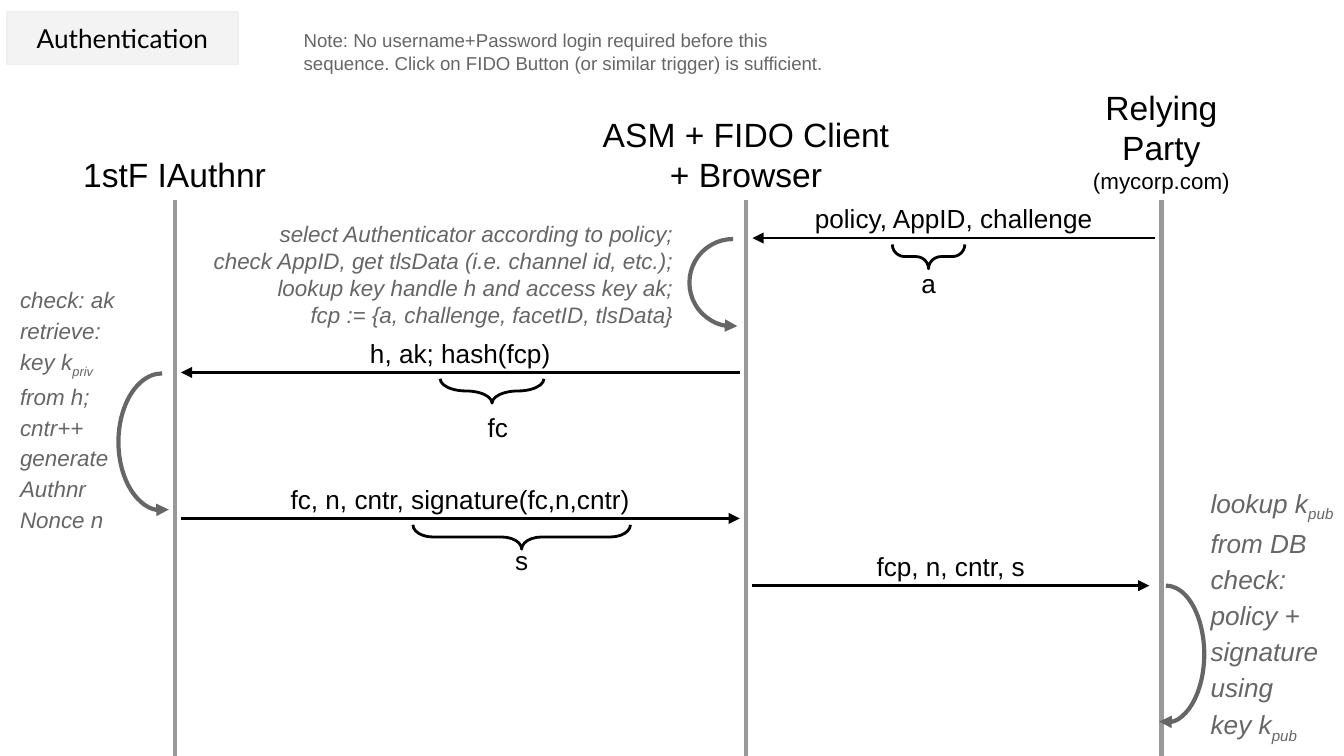
import pptx
import pptx.util
import pptx.dml.color
import pptx.enum.shapes
import pptx.enum.text
import pptx.oxml.ns
import lxml.etree

Cm, Pt = pptx.util.Cm, pptx.util.Pt
qn = pptx.oxml.ns.qn
SHAPE = pptx.enum.shapes.MSO_SHAPE
ANCHOR = pptx.enum.text.MSO_ANCHOR
ALIGN = pptx.enum.text.PP_ALIGN

COLORS = {"ink": "000000", "muted": "666666", "lifeline": "999999",
          "panel": "F3F3F3", "border": "EFEFEF"}
AUTHNR_X, CLIENT_X, PARTY_X = 3.30, 14.10, 21.95
ACTOR_BOTTOM, LIFELINE_TOP, SLIDE_W, SLIDE_H = 3.92, 3.78, 25.4, 14.29
MESSAGE_W = 1.5
LOOP_W = 2.25


def rgb(name):
    """Return the named colour."""
    return pptx.dml.color.RGBColor.from_string(COLORS[name])


def style_line(sp, color, width, arrow=None):
    """Set an outline and, if asked, a triangle at its headEnd or tailEnd."""
    sp.line.color.rgb = rgb(color)
    sp.line.width = Pt(width)
    if arrow:
        ln = sp._element.spPr.find(qn("a:ln"))
        lxml.etree.SubElement(ln, qn("a:" + arrow), type="triangle")


def fill_text(sp, text, size, color="ink", font="Arial", align=ALIGN.CENTER,
              anchor=ANCHOR.TOP, italic=False, spacing=1.0):
    """Write one paragraph per line; parts between underscores are subscripts."""
    tf = sp.text_frame
    tf.word_wrap = True
    tf.auto_size = pptx.enum.text.MSO_AUTO_SIZE.NONE
    tf.vertical_anchor = anchor
    tf.margin_left = tf.margin_right = tf.margin_top = tf.margin_bottom = Cm(0.25)
    for i, line in enumerate(text.split("\n")):
        p = tf.add_paragraph() if i else tf.paragraphs[0]
        p.alignment, p.line_spacing = align, spacing
        for j, part in enumerate(line.split("_")):
            if not part:
                continue
            r = p.add_run()
            r.text = part
            r.font.size, r.font.name = Pt(size), font
            r.font.italic, r.font.bold = italic, False
            r.font.color.rgb = rgb(color)
            if j % 2:
                r.font._element.set("baseline", "-25000")
    return tf


def text_box(slide, box, text, size, **style):
    """Add a text box at (left, top, width, height)."""
    sp = slide.shapes.add_textbox(*map(Cm, box))
    return fill_text(sp, text, size, **style)


def line(slide, x1, y1, x2, y2, color, width, arrow=None):
    """Add a straight connector without shadow."""
    sp = slide.shapes.add_connector(pptx.enum.shapes.MSO_CONNECTOR.STRAIGHT,
                                    Cm(x1), Cm(y1), Cm(x2), Cm(y2))
    style_line(sp, color, width, arrow)
    lxml.etree.SubElement(sp._element.spPr, qn("a:effectLst"))


def outline(slide, kind, box, adjustments, width, color, arrow=None):
    """Add an unfilled preset shape."""
    sp = slide.shapes.add_shape(kind, *map(Cm, box))
    sp.shadow.inherit = False
    sp.fill.background()
    for i, value in enumerate(adjustments):
        sp.adjustments[i] = value
    style_line(sp, color, width, arrow)
    return sp


def title_panel(slide, box):
    """Place the title as a small grey panel."""
    sp = slide.shapes.title
    sp.left, sp.top, sp.width, sp.height = map(Cm, box)
    sp.fill.solid()
    sp.fill.fore_color.rgb = rgb("panel")
    style_line(sp, "border", 0.75)
    fill_text(sp, "Authentication", 14, font="Lato", anchor=ANCHOR.MIDDLE)


def actor(slide, x, width, height, name):
    """Place a lifeline with the actor's name standing on it."""
    line(slide, x, LIFELINE_TOP, x, SLIDE_H, "lifeline", 2.25)
    box = (x - width / 2, ACTOR_BOTTOM - height, width, height)
    return text_box(slide, box, name, 18, anchor=ANCHOR.BOTTOM)


def message(slide, start, end, y, label, end_gap=0.12):
    """Draw an arrow between two lifelines with its label above."""
    way = 1 if end > start else -1
    x1, x2 = start + way * 0.12, end - way * end_gap
    line(slide, x1, y, x2, y, "ink", MESSAGE_W, "tailEnd")
    text_box(slide, (min(x1, x2), y - 0.92, abs(x2 - x1), 0.94), label, 14)


def brace(slide, x, y, width, curve, label, drop, shift=0):
    """Hang a brace, centred on x, and its label under a message at y."""
    depth = 0.46
    middle = y + 0.12 + depth / 2
    box = (x - depth / 2, middle - width / 2, depth, width)
    outline(slide, SHAPE.LEFT_BRACE, box, (curve, 0.5), MESSAGE_W, "ink").rotation = 270
    text_box(slide, (x + shift - 0.6, y + drop, 1.2, 0.94), label, 14)


def loop(slide, box, flip=False):
    """Draw a half-round arrow for an actor's own step."""
    sp = outline(slide, SHAPE.ARC, box, (50.6, 162), LOOP_W, "muted", "headEnd")
    if flip:
        sp._element.spPr.find(qn("a:xfrm")).set("flipH", "1")


def step_note(slide, box, text, size, align=ALIGN.LEFT, spacing=1.15):
    """Write the italic note beside a loop."""
    text_box(slide, box, text, size, color="muted", italic=True,
             align=align, spacing=spacing)


def sequence_slide(prs):
    """Build the authentication sequence diagram."""
    slide = prs.slides.add_slide(prs.slide_layouts[5])
    title_panel(slide, (0.13, 0.23, 4.37, 0.99))
    text_box(slide, (5.49, 0.30, 10.90, 1.27),
             "Note: No username+Password login required before this sequence. "
             "Click on FIDO Button (or similar trigger) is sufficient.",
             10, color="muted", align=ALIGN.LEFT)

    actor(slide, AUTHNR_X, 6.05, 1.27, "1stF IAuthnr")
    actor(slide, CLIENT_X, 6.20, 2.59, "ASM + FIDO Client\n+ Browser")
    party = actor(slide, PARTY_X, 3.94, 1.65, "Relying Party\n(mycorp.com)")
    party.paragraphs[1].runs[0].font.size = Pt(12)

    policy_y, hash_y, sign_y, reply_y = 4.50, 7.04, 9.80, 11.07
    message(slide, PARTY_X, CLIENT_X, policy_y, "policy, AppID, challenge")
    message(slide, CLIENT_X, AUTHNR_X, hash_y, "h, ak; hash(fcp)")
    message(slide, AUTHNR_X, CLIENT_X, sign_y, "fc, n, cntr, signature(fc,n,cntr)")
    message(slide, CLIENT_X, PARTY_X, reply_y, "fcp, n, cntr, s", end_gap=0.23)

    brace(slide, 17.55, policy_y, 1.37, 0.51, "a", 0.30)
    brace(slide, 9.30, hash_y, 1.96, 1.24, "fc", 0.48, shift=0.11)
    brace(slide, 9.86, sign_y, 4.11, 0.82, "s", 0.25)

    loop(slide, (13.03, policy_y + 0.02, 1.65, 1.65))
    loop(slide, (2.24, hash_y + 0.02, 1.65, 2.59))
    loop(slide, (21.31, reply_y, 1.45, 2.59), flip=True)

    step_note(slide, (3.66, 3.91, 9.32, 2.21),
              "select Authenticator according to policy;\n"
              "check AppID, get tlsData (i.e. channel id, etc.);\n"
              "lookup key handle h and access key ak;\n"
              "fcp := {a, challenge, facetID, tlsData}",
              12, align=ALIGN.RIGHT, spacing=1.0)
    step_note(slide, (0.13, 5.08, 2.97, 5.28),
              "check: ak\nretrieve:\nkey k_priv_\nfrom h;\ncntr++\n"
              "generate Authnr Nonce n", 12)
    step_note(slide, (22.63, 8.86, 3.12, 5.13),
              "lookup k_pub_\nfrom DB\ncheck:\npolicy +\nsignature\nusing\nkey k_pub_", 14)


prs = pptx.Presentation()
prs.slide_width, prs.slide_height = Cm(SLIDE_W), Cm(SLIDE_H)
sequence_slide(prs)
prs.save("out.pptx")
